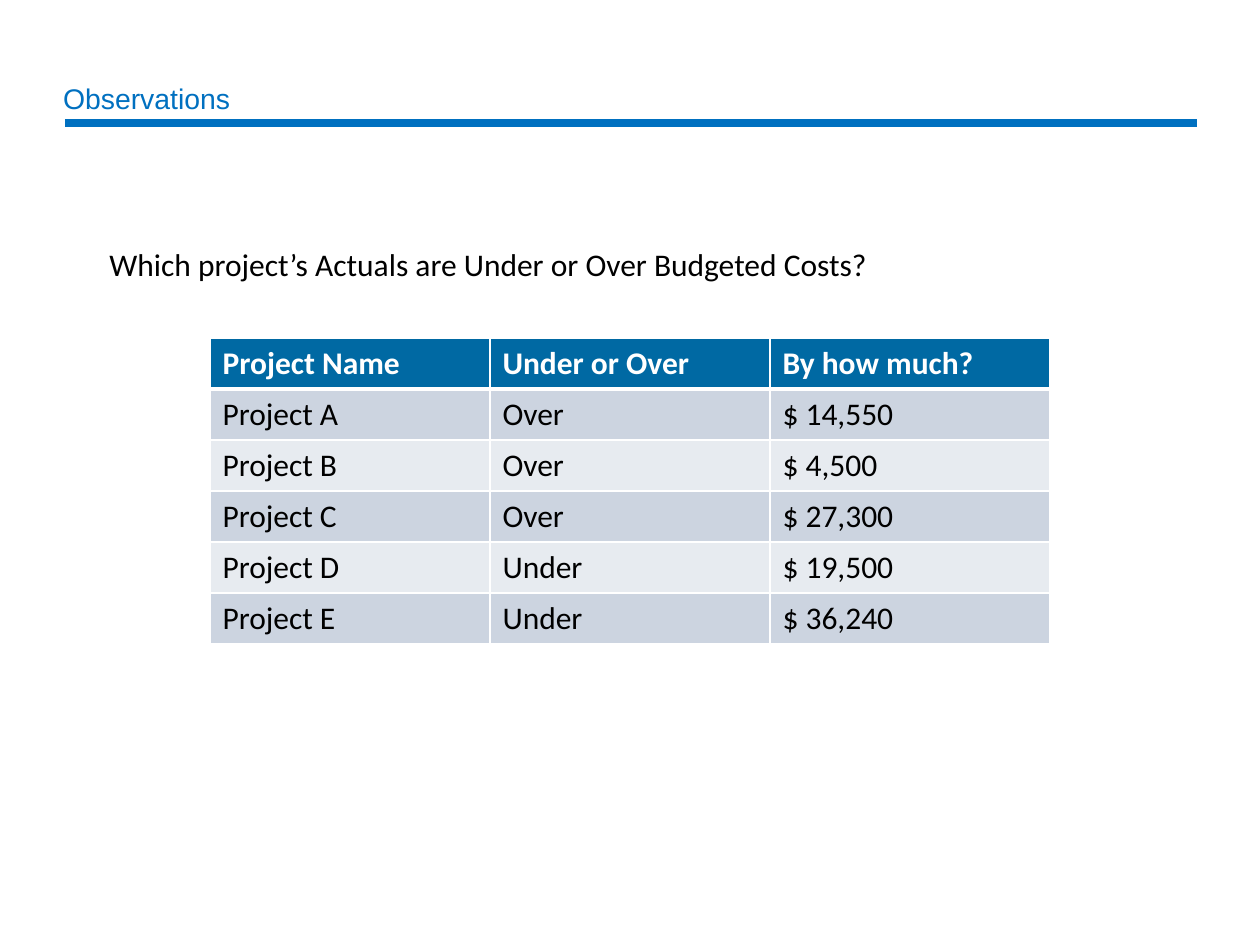
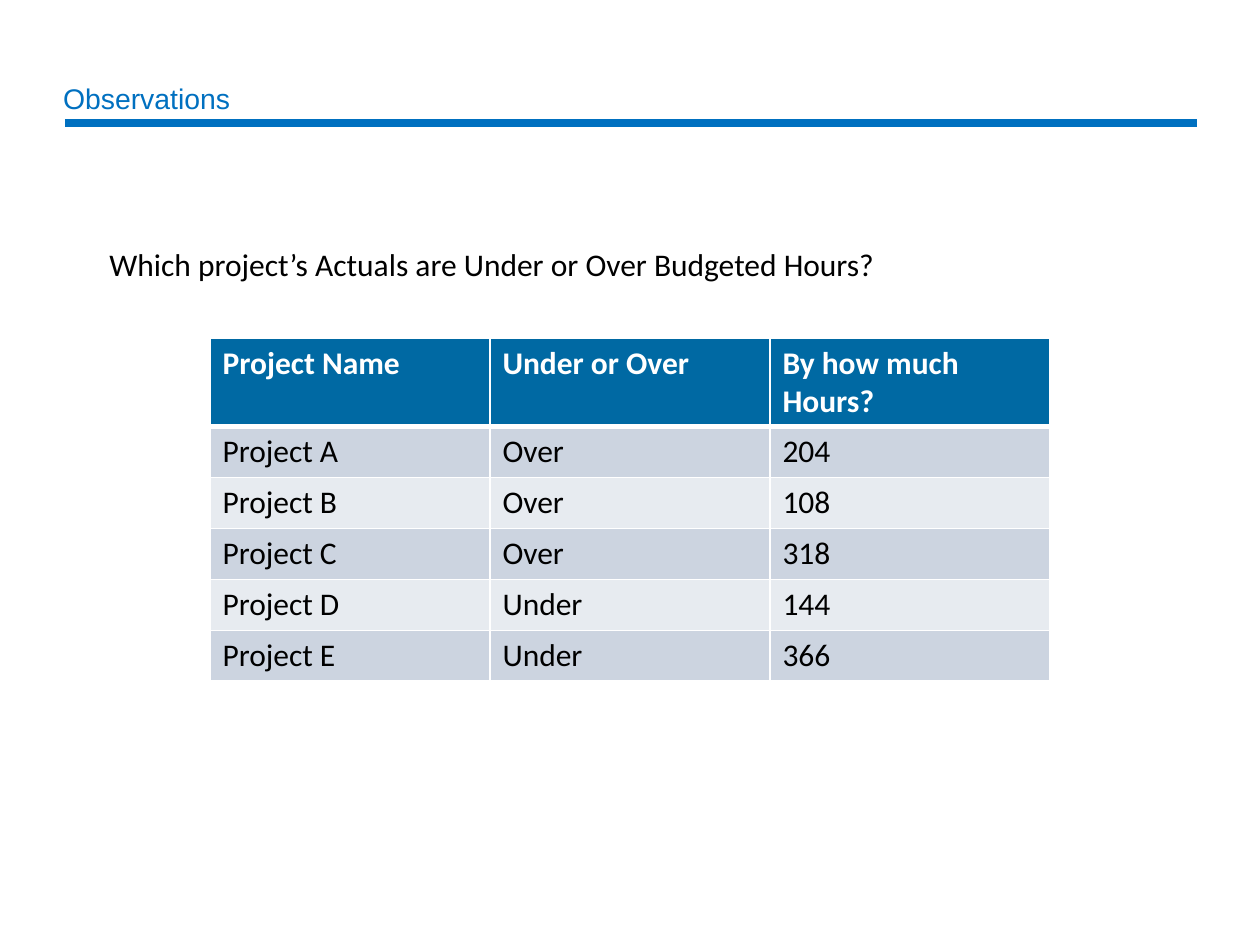
import pptx
import pptx.dml.color
import pptx.enum.shapes
import pptx.enum.text
import pptx.oxml.ns
import pptx.util
from lxml import etree

PX = 914400 / 126
COLORS = {
    "accent": "0070C0",
    "header": "0069A3",
    "band_dark": "CCD4E0",
    "band_light": "E7EBF0",
    "text": "000000",
    "white": "FFFFFF",
}
PROJECTS = ["Project A", "Project B", "Project C", "Project D", "Project E"]
VERDICTS = ["Over", "Over", "Over", "Under", "Under"]
SLIDES = [
    ("Which project’s Actuals are Under or Over Budgeted Costs?", "By how much?",
     ["$ 14,550", "$ 4,500", "$ 27,300", "$ 19,500", "$ 36,240"]),
    ("Which project’s Actuals are Under or Over Budgeted Hours?", "By how much Hours?",
     ["204", "108", "318", "144", "366"]),
]
COL_W, ROW_H = 280, 51


def px(n):
    return pptx.util.Emu(round(n * PX))


def style(p, size, name, color, bold=False):
    p.font.size = pptx.util.Pt(size)
    p.font.name = name
    p.font.bold = bold
    p.font.color.rgb = pptx.dml.color.RGBColor.from_string(COLORS[color])


prs = pptx.Presentation()
prs.slide_width, prs.slide_height = px(1260), px(945)
qn = pptx.oxml.ns.qn

for question, amount_header, amounts in SLIDES:
    s = prs.slides.add_slide(prs.slide_layouts[5])

    line = s.shapes.add_connector(
        pptx.enum.shapes.MSO_CONNECTOR.STRAIGHT, px(65), px(123), px(1197), px(123))
    line.line.width = pptx.util.Pt(4.5)
    line.line.color.rgb = pptx.dml.color.RGBColor.from_string(COLORS["accent"])
    etree.SubElement(line._element.spPr, qn("a:effectLst"))

    title = s.shapes.title
    title.left, title.top, title.width, title.height = px(63), px(81), px(1134), px(38)
    tf = title.text_frame
    tf.text = "Observations"
    tf.auto_size = pptx.enum.text.MSO_AUTO_SIZE.NONE
    tf.vertical_anchor = pptx.enum.text.MSO_ANCHOR.MIDDLE
    tf.margin_left = tf.margin_right = 0
    p = tf.paragraphs[0]
    p.alignment = pptx.enum.text.PP_ALIGN.LEFT
    p.line_spacing = 0.9
    style(p, 16.2, "Arial", "accent")

    tf = s.shapes.add_textbox(px(97), px(239), px(1100), px(89)).text_frame
    tf.word_wrap = True
    tf.text = question
    style(tf.paragraphs[0], 18, "Calibri", "text")

    rows = [("Project Name", "Under or Over", amount_header),
            *zip(PROJECTS, VERDICTS, amounts)]
    table = s.shapes.add_table(
        len(rows), 3, px(210), px(338), px(3 * COL_W), px(len(rows) * ROW_H)).table
    for col in table.columns:
        col.width = px(COL_W)
    for i, values in enumerate(rows):
        table.rows[i].height = px(ROW_H)
        fill = "header" if i == 0 else "band_dark" if i % 2 else "band_light"
        borders = {"lnL": 1, "lnR": 1, "lnT": 3 if i == 1 else 1, "lnB": 3 if i == 0 else 1}
        for j, value in enumerate(values):
            cell = table.cell(i, j)
            cell.text = value
            style(cell.text_frame.paragraphs[0], 18, "Calibri",
                  "white" if i == 0 else "text", i == 0)
            tcPr = cell._tc.get_or_add_tcPr()
            for tag, width in borders.items():
                ln = etree.SubElement(tcPr, qn("a:" + tag), w=str(pptx.util.Pt(width)))
                solid = etree.SubElement(ln, qn("a:solidFill"))
                etree.SubElement(solid, qn("a:srgbClr"), val=COLORS["white"])
            cell.fill.solid()
            cell.fill.fore_color.rgb = pptx.dml.color.RGBColor.from_string(COLORS[fill])

prs.save("out.pptx")
